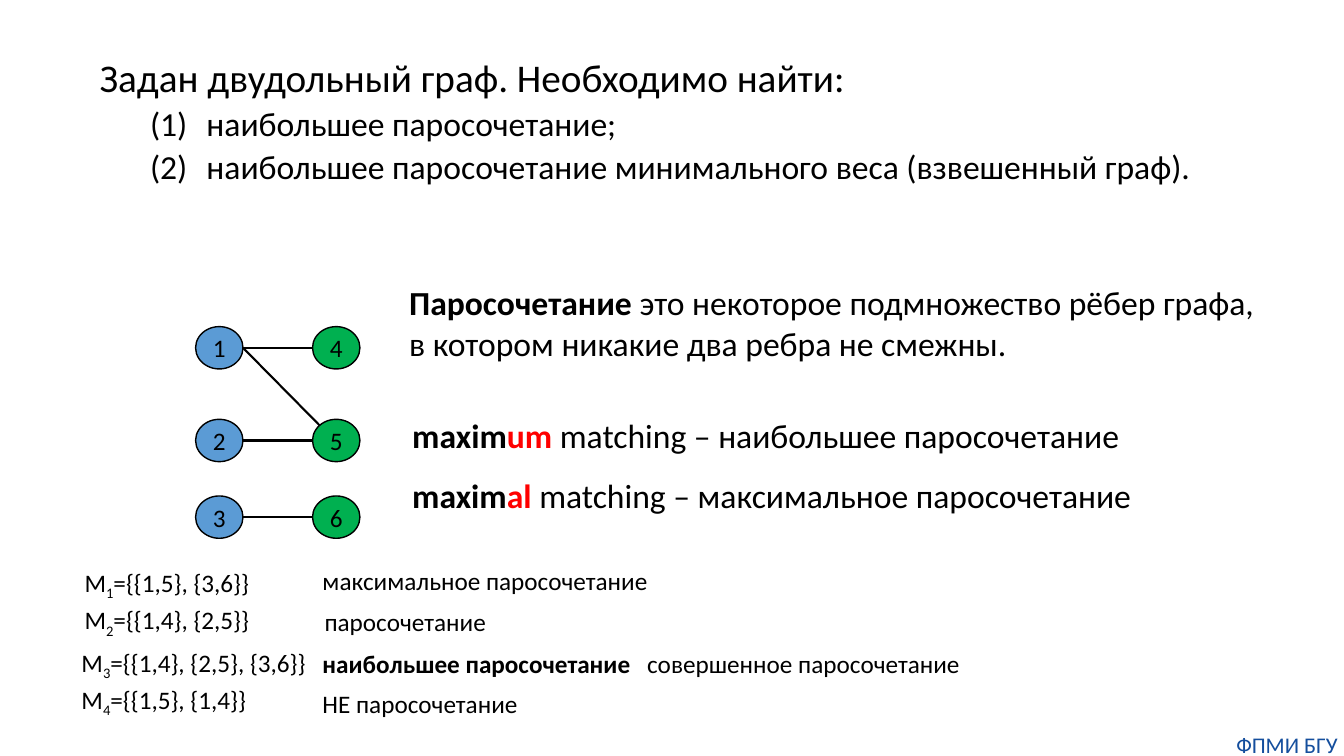
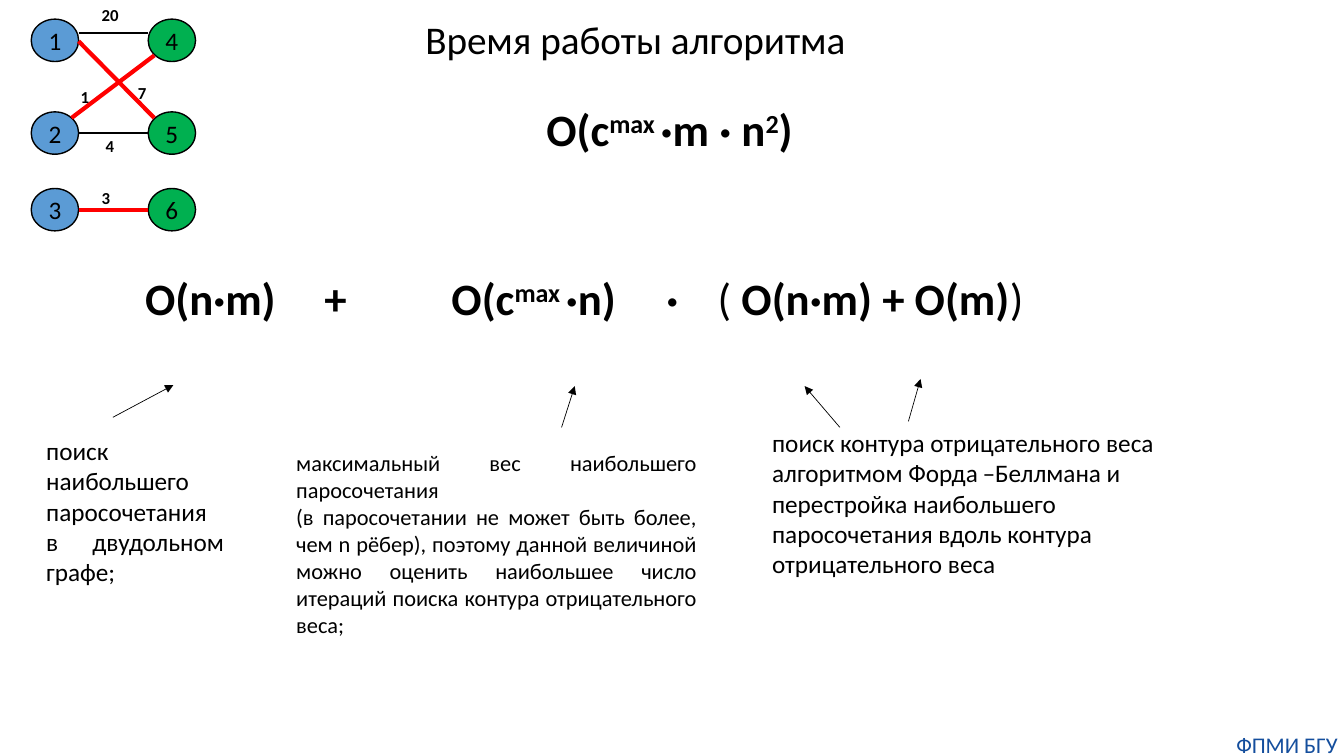
"""Build two slides on matchings in bipartite graphs."""
from lxml import etree
from pptx import Presentation
from pptx.dml.color import RGBColor
from pptx.enum import shapes, text
from pptx.oxml import ns
from pptx.util import Inches, Pt

COLORS = {"text": "000000", "left": "5B9BD5", "right": "00B050",
          "accent": "FF0000", "footer": "144E9D"}
FONT = "Calibri"
NODE_W, NODE_H, COL_GAP = 0.47, 0.42, 1.16
ROWS = (0, 0.92, 1.68)
CENTER, JUSTIFY = text.PP_ALIGN.CENTER, text.PP_ALIGN.JUSTIFY
BOLD, RED = {"bold": True}, {"bold": True, "color": "accent"}
SUB, SUP = {"base": -25}, {"bold": True, "base": 30}


def rgb(name):
    """Return a palette colour."""
    return RGBColor.from_string(COLORS[name])


def style_run(r, size, color="text", bold=False, base=0):
    """Set font, colour, weight and baseline of a run."""
    r.font.name, r.font.size, r.font.bold = FONT, Pt(size), bold
    r.font.color.rgb = rgb(color)
    if base:
        r._r.get_or_add_rPr().set("baseline", str(base * 1000))


def fill_paragraph(p, runs, size, align=None, **style):
    """Write a string or a list of (text, style) runs."""
    if isinstance(runs, str):
        runs = [(runs, {})]
    p.alignment = align
    for words, extra in runs:
        r = p.add_run()
        r.text = words
        style_run(r, size, **{**style, **extra})


def add_text(s, box, paragraphs, size, wrap=False, align=None, inset=None, **style):
    """Add a text box with one or more paragraphs."""
    tf = s.shapes.add_textbox(*map(Inches, box)).text_frame
    tf.word_wrap = wrap
    if inset is not None:
        tf.margin_left = tf.margin_right = tf.margin_top = tf.margin_bottom = Inches(inset)
    for i, runs in enumerate(paragraphs):
        p = tf.add_paragraph() if i else tf.paragraphs[0]
        fill_paragraph(p, runs, size, align, **style)
    return tf


def add_line(s, start, end, color="text", width=1.5, arrow=False):
    """Add a straight line, with an arrowhead at its end if asked."""
    sp = s.shapes.add_connector(shapes.MSO_CONNECTOR.STRAIGHT,
                                *map(Inches, (*start, *end)))
    sp.line.color.rgb, sp.line.width = rgb(color), Pt(width)
    if arrow:
        etree.SubElement(sp.line._get_or_add_ln(), ns.qn("a:tailEnd"), type="triangle")
    etree.SubElement(sp._element.spPr, ns.qn("a:effectLst"))


def add_node(s, left, top, label, color):
    """Add a numbered graph vertex."""
    sp = s.shapes.add_shape(shapes.MSO_SHAPE.OVAL,
                            *map(Inches, (left, top, NODE_W, NODE_H)))
    sp.shadow.inherit = False
    sp.fill.solid()
    sp.fill.fore_color.rgb = rgb(color)
    sp.line.color.rgb, sp.line.width = rgb("text"), Pt(1)
    tf = sp.text_frame
    tf.margin_left = tf.margin_right = tf.margin_top = tf.margin_bottom = 0
    tf.vertical_anchor = text.MSO_ANCHOR.MIDDLE
    fill_paragraph(tf.paragraphs[0], label, 18, CENTER)


def add_graph(s, left, top, edges):
    """Add the bipartite graph; edges are relative to its corner."""
    for i, row in enumerate(ROWS):
        add_node(s, left, top + row, str(i + 1), "left")
        add_node(s, left + COL_GAP, top + row, str(i + 4), "right")
    for x1, y1, x2, y2, *style in edges:
        add_line(s, (left + x1, top + y1), (left + x2, top + y2), *style)


def add_slide(prs):
    """Add a blank slide with the shared footer."""
    s = prs.slides.add_slide(prs.slide_layouts[6])
    add_text(s, (12.2, 7.25, 1.13, 0.27), ["ФПМИ БГУ"], 16, wrap=True,
             align=CENTER, inset=0, color="footer")
    return s


def add_task(s):
    """Add the problem statement with its numbered items."""
    tf = add_text(s, (0.89, 0.53, 11.43, 1.5),
                  ["Задан двудольный граф. Необходимо найти:"], 28, wrap=True)
    tf.paragraphs[0].line_spacing = 0.9
    for item in ("наибольшее паросочетание;",
                 "наибольшее паросочетание минимального веса (взвешенный граф)."):
        p = tf.add_paragraph()
        pPr = p._p.get_or_add_pPr()
        pPr.set("marL", str(Inches(1.06)))
        pPr.set("indent", str(Inches(-0.56)))
        etree.SubElement(pPr, ns.qn("a:buFont"), typeface=FONT)
        etree.SubElement(pPr, ns.qn("a:buAutoNum"), type="arabicParenBoth")
        p.line_spacing, p.space_before = 0.9, Pt(5)
        fill_paragraph(p, item, 24)


def build_matching(prs):
    """Build the slide that defines matchings."""
    s = add_slide(prs)
    add_task(s)
    add_graph(s, 1.94, 3.24, [(0.47, 0.21, 1.23, 0.98)] +
              [(NODE_W, y + 0.21, COL_GAP, y + 0.21) for y in ROWS])
    add_text(s, (3.96, 2.75, 8.67, 0.91), [[
        ("Паросочетание", BOLD),
        (" это некоторое подмножество рёбер графа, "
         "в котором никакие два ребра не смежны.", {})]], 24, wrap=True)
    for top, width, ending, rest in (
            (4.07, 7.28, "um", " matching – наибольшее паросочетание"),
            (4.66, 7.36, "al", " matching – максимальное паросочетание")):
        add_text(s, (3.99, top, width, 0.5),
                 [[("maxim", BOLD), (ending, RED), (rest, {})]], 24)
    sets = (((0.74, 5.58, 1.9, 0.4), "={{1,5}, {3,6}}"),
            ((0.74, 5.95, 1.86, 0.4), "={{1,4}, {2,5}}"),
            ((0.71, 6.37, 2.46, 0.4), "={{1,4}, {2,5}, {3,6}}"),
            ((0.71, 6.74, 1.9, 0.4), "={{1,5}, {1,4}}"))
    for i, (box, members) in enumerate(sets, 1):
        add_text(s, box, [[("M", {}), (str(i), SUB), (members, {})]], 18)
    for box, kind, bold in (
            ((3.1, 5.56, 3.51, 0.4), "максимальное паросочетание", False),
            ((3.12, 5.97, 1.82, 0.4), "паросочетание", False),
            ((3.1, 6.38, 3.28, 0.4), "наибольшее паросочетание", True),
            ((6.32, 6.38, 3.37, 0.4), "совершенное паросочетание", False),
            ((3.1, 6.78, 2.16, 0.4), "НЕ паросочетание", False)):
        add_text(s, box, [kind], 18, bold=bold)


def build_running_time(prs):
    """Build the slide on the running time of the algorithm."""
    s = add_slide(prs)
    add_text(s, (3.97, 0.1, 4.75, 0.91), ["Время работы алгоритма "], 28,
             wrap=True, align=CENTER)
    add_graph(s, 0.31, 0.19, [
        (0.47, 0.22, 1.22, 0.98, "accent", 3), (0.47, 0.14, 1.16, 0.14),
        (0.47, 1.13, 1.16, 1.13), (0.47, 1.89, 1.16, 1.89, "accent", 3),
        (0.4, 0.98, 1.22, 0.36, "accent", 3)])
    for left, top, width, weight in (
            (0.91, 0, 0.37, "20"), (0.95, 1.3, 0.29, "4"), (0.91, 1.81, 0.29, "3"),
            (0.7, 0.81, 0.29, "1"), (1.27, 0.77, 0.29, "7")):
        add_text(s, (left, top, width, 0.3), [weight], 12, bold=True)

    for left, top, width, runs in (
            (5.32, 0.96, 3.58, [("О(c", BOLD), ("max ", SUP), ("·m · n", BOLD),
                                ("2", SUP), (")", BOLD)]),
            (1.34, 2.64, 1.61, [("О(n·m)", BOLD)]),
            (3.12, 2.64, 0.43, [("+", BOLD)]),
            (4.38, 2.64, 2.03, [("О(c", BOLD), ("max ", SUP), ("·n)", BOLD)]),
            (6.51, 2.64, 0.32, [("·", BOLD)]),
            (7.02, 2.64, 3.28, [("( ", {}), ("O(n·m) + О(m)", BOLD), (")", {})])):
        add_text(s, (left, top, width, 0.64), [runs], 32, wrap=width > 3)

    add_text(s, (0.36, 4.27, 1.96, 1.62),
             ["поиск наибольшего паросочетания в двудольном графе;"], 18,
             wrap=True, align=JUSTIFY)
    add_text(s, (2.84, 4.41, 4.17, 1.99), [
        "максимальный вес наибольшего паросочетания",
        "(в паросочетании не может быть более, чем n рёбер), поэтому данной "
        "величиной можно оценить наибольшее число итераций поиска контура "
        "отрицательного веса;"], 16, wrap=True, align=JUSTIFY)
    add_text(s, (7.56, 4.19, 4.3, 1.62), [
        "поиск контура отрицательного веса алгоритмом Форда  ̶ Беллмана и "
        "перестройка наибольшего паросочетания вдоль контура "
        "отрицательного веса"], 18, wrap=True)
    for start, end in (((1.12, 4.14), (1.72, 3.82)), ((5.57, 4.24), (5.7, 3.83)),
                       ((8.33, 4.24), (7.98, 3.83)), ((9.01, 4.18), (9.13, 3.76))):
        add_line(s, start, end, width=0.5, arrow=True)


def main():
    """Create and save the presentation."""
    prs = Presentation()
    prs.slide_width, prs.slide_height = Inches(13.33), Inches(7.5)
    build_matching(prs)
    build_running_time(prs)
    prs.save("out.pptx")


if __name__ == "__main__":
    main()
